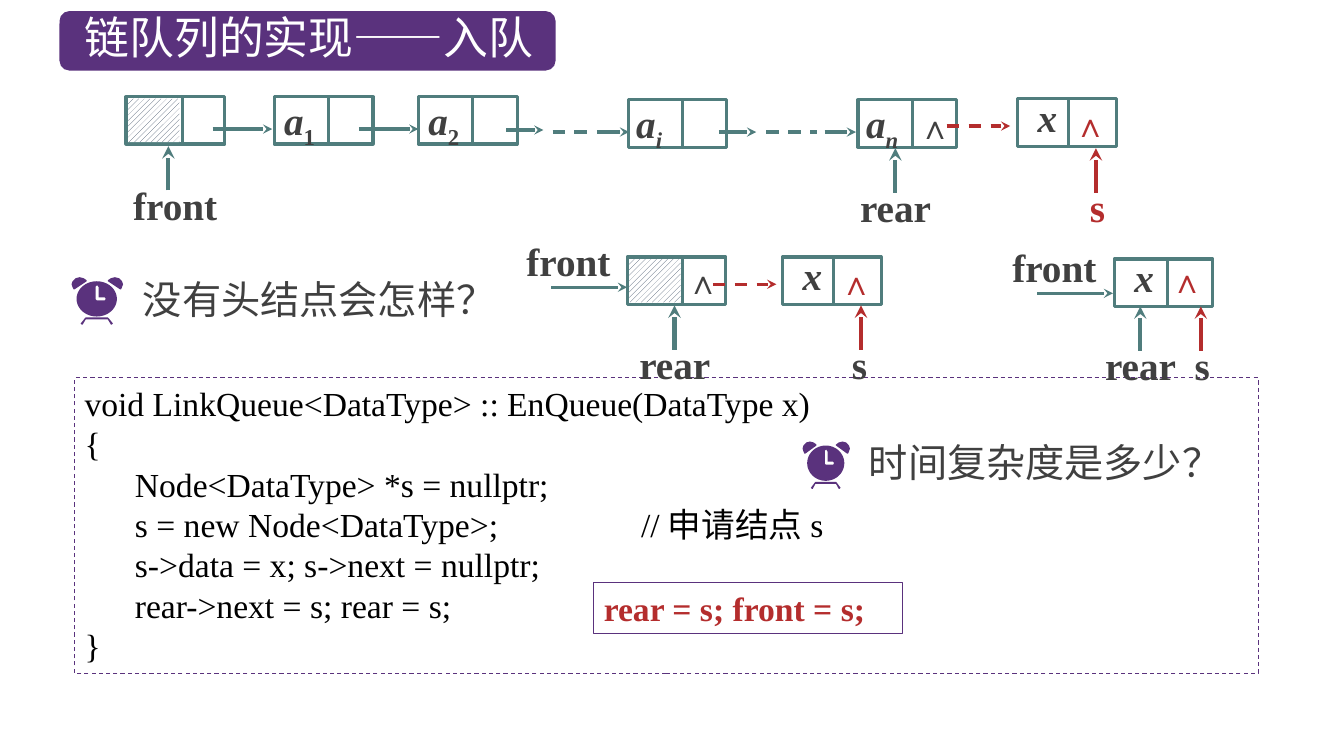
import math
from dataclasses import dataclass

from lxml import etree
from pptx import Presentation
from pptx import util as u
from pptx.dml import color
from pptx.enum import dml, shapes, text
from pptx.oxml import ns

SERIF, CJK = "Times New Roman", "Noto Sans CJK SC"
TEAL, RED, PURPLE, DARK = "507D7D", "B42D2D", "5A327D", "404040"
WHITE, BLACK, SLATE = "FFFFFF", "000000", "44546A"
NODE_W, NODE_H = 0.98, 0.47


@dataclass
class Node:
    left: float
    top: float
    split: float = 0.54
    name: str = ""
    sub: str = ""
    inset: float = 0.1
    sub_italic: bool = True
    hatched: bool = False


@dataclass
class Arrow:
    x1: float
    y1: float
    x2: float
    y2: float
    ink: str = TEAL
    width: float = 2.25
    dashed: bool = False
    head: bool = True


@dataclass
class Pointer:
    word: str
    x: float
    base: float
    left: float
    ink: str = TEAL
    word_ink: str = DARK


@dataclass
class Caret:
    left: float
    top: float
    ink: str = RED


@dataclass
class Clock:
    left: float
    top: float
    scale: float


NODES = [
    Node(1.25, 0.96, 0.56, hatched=True),
    Node(2.72, 0.96, name="a", sub="1", sub_italic=False),
    Node(4.15, 0.96, name="a", sub="2", sub_italic=False),
    Node(6.23, 0.99, name="a", sub="i", inset=0.08),
    Node(8.51, 0.99, name="a", sub="n", inset=0.08),
    Node(10.09, 0.98, 0.51, "x", inset=0.2),
    Node(6.22, 2.55, 0.55, hatched=True),
    Node(7.76, 2.55, 0.51, "x", inset=0.2),
    Node(11.05, 2.57, 0.53, "x", inset=0.2),
]
ARROWS = [
    Arrow(2.11, 1.28, 2.7, 1.28),
    Arrow(3.56, 1.28, 4.15, 1.28),
    Arrow(5.02, 1.29, 5.39, 1.29),
    Arrow(5.48, 1.31, 5.84, 1.31, dashed=True, head=False),
    Arrow(5.92, 1.31, 6.24, 1.31),
    Arrow(7.13, 1.31, 7.5, 1.31),
    Arrow(7.6, 1.31, 8.1, 1.31, dashed=True, head=False),
    Arrow(8.18, 1.31, 8.49, 1.31),
    Arrow(9.39, 1.25, 10.02, 1.25, RED, dashed=True),
    Arrow(7.07, 2.82, 7.7, 2.82, RED, dashed=True),
]
POINTERS = [
    Pointer("front", 1.67, 1.89, 1.32),
    Pointer("rear", 8.88, 1.91, 8.53),
    Pointer("s", 10.87, 1.91, 10.81, RED, RED),
    Pointer("rear", 6.69, 3.47, 6.34),
    Pointer("s", 8.54, 3.47, 8.45, RED),
    Pointer("rear", 11.31, 3.48, 10.96),
    Pointer("s", 11.91, 3.48, 11.85, RED),
]
CARETS = [Caret(10.55, 0.98), Caret(9.01, 1, DARK), Caret(6.71, 2.54, DARK),
          Caret(8.23, 2.55), Caret(11.51, 2.53)]
CLOCKS = [Clock(0.71, 2.75, 1), Clock(7.96, 4.38, 0.92)]
FRONT_ARROWS = [(5.47, 2.85), (10.29, 2.91)]
CODE = [
    "void LinkQueue<DataType> :: EnQueue(DataType x)",
    "{",
    "      Node<DataType> *s = nullptr;",
    "      s = new Node<DataType>;\t//申请结点s",
    "      s->data = x; s->next = nullptr;",
    "      rear->next = s; rear = s;",
    "}",
]
EAR = [(.08, 0), (.04, .01), (.01, .04), (0, .07), (.01, .1), (.02, .12),
       (.03, .12), (.15, .04), (.15, .03), (.12, .01)]
FEET = [(.09, .46), (.13, .41), (.14, .4), (.36, .4), (.37, .41), (.41, .46),
        (.4, .47), (.39, .47), (.36, .42), (.14, .42), (.11, .47), (.1, .47)]
HANDS = [(.24, .09), (.255, .08), (.27, .1), (.27, .2), (.33, .2),
         (.34, .215), (.33, .23), (.25, .23), (.24, .22)]
FACE = [(.25 + .2 * math.cos(math.tau * i / 48), .215 + .175 * math.sin(math.tau * i / 48))
        for i in range(48)]

deck = Presentation()
deck.slide_width, deck.slide_height = u.Inches(13.33), u.Inches(7.5)
page = deck.slides.add_slide(deck.slide_layouts[6])


def rgb(value: str) -> color.RGBColor:
    return color.RGBColor.from_string(value)


def add_span(para, words: str, size: float, ink: str, font=SERIF, bold=False, italic=False):
    span = para.add_run()
    span.text = words
    span.font.size, span.font.name = u.Pt(size), font
    span.font.bold, span.font.italic = bold, italic
    span.font.color.rgb = rgb(ink)
    etree.SubElement(span.font._element, ns.qn("a:ea"), typeface=CJK)
    return span


def set_frame(shape, insets=(0.1, 0.05, 0.1, 0.05)):
    frame = shape.text_frame
    frame.word_wrap = True
    frame.vertical_anchor = text.MSO_ANCHOR.TOP
    (frame.margin_left, frame.margin_top,
     frame.margin_right, frame.margin_bottom) = map(u.Inches, insets)
    para = frame.paragraphs[0]
    para.alignment = text.PP_ALIGN.LEFT
    return para


def add_label(words: str, left: float, top: float, width: float, height: float,
              size: float, ink: str, font=SERIF, bold=True, insets=(0.1, 0.05, 0.1, 0.05)):
    box = page.shapes.add_textbox(*map(u.Inches, (left, top, width, height)))
    para = set_frame(box, insets)
    add_span(para, words, size, ink, font, bold)
    return para


def add_box(left: float, top: float, width: float, height: float, line="", weight=1.0,
            fill="", kind=shapes.MSO_SHAPE.RECTANGLE):
    box = page.shapes.add_shape(kind, *map(u.Inches, (left, top, width, height)))
    box.shadow.inherit = False
    if fill:
        box.fill.solid()
        box.fill.fore_color.rgb = rgb(fill)
    else:
        box.fill.background()
    if line:
        box.line.color.rgb, box.line.width = rgb(line), u.Pt(weight)
    else:
        box.line.fill.background()
    return box


def draw_arrow(arrow: Arrow) -> None:
    line = page.shapes.add_connector(
        shapes.MSO_CONNECTOR.STRAIGHT,
        *map(u.Inches, (arrow.x1, arrow.y1, arrow.x2, arrow.y2)))
    line.line.color.rgb, line.line.width = rgb(arrow.ink), u.Pt(arrow.width)
    if arrow.dashed:
        line.line.dash_style = dml.MSO_LINE.DASH
    if arrow.head:
        etree.SubElement(line.line._get_or_add_ln(), ns.qn("a:tailEnd"), type="stealth")
    etree.SubElement(line._element.spPr, ns.qn("a:effectLst"))


def draw_node(node: Node) -> None:
    box = add_box(node.left, node.top, NODE_W, NODE_H, TEAL, 2.25)
    if node.name:
        para = set_frame(box, (node.inset, 0, 0, 0.08))
        para.line_spacing = 0.9
        add_span(para, node.name, 28, DARK, bold=True, italic=True)
        if node.sub:
            sub = add_span(para, node.sub, 28, DARK, bold=True, italic=node.sub_italic)
            sub.font._element.set("baseline", "-25000")
    if node.hatched:
        hatch = add_box(node.left + 0.02, node.top + 0.02, 0.51, 0.43)
        hatch.fill.patterned()
        hatch.fill.pattern = dml.MSO_PATTERN.WIDE_UPWARD_DIAGONAL
        hatch.fill.fore_color.rgb, hatch.fill.back_color.rgb = rgb(SLATE), rgb(WHITE)
    split = node.left + node.split
    draw_arrow(Arrow(split, node.top, split, node.top + NODE_H, head=False))


def draw_pointer(pointer: Pointer) -> None:
    draw_arrow(Arrow(pointer.x, pointer.base, pointer.x, pointer.base - 0.44, pointer.ink, 3))
    para = add_label(pointer.word, pointer.left, pointer.base, 0.24 if pointer.word == "s" else 0.85,
                     0.35, 28, pointer.word_ink, insets=(0, 0, 0, 0))
    para.alignment, para.line_spacing = text.PP_ALIGN.JUSTIFY, 0.8


def draw_clock(clock: Clock) -> None:
    mirrored_ear = [(.51 - x, y) for x, y in EAR]
    for contours in ([FEET], [EAR], [mirrored_ear], [FACE, HANDS]):
        placed = [[(u.Inches(clock.left + x * clock.scale), u.Inches(clock.top + y))
                   for x, y in contour] for contour in contours]
        outline = page.shapes.build_freeform(*placed[0][0])
        outline.add_line_segments(placed[0][1:])
        for hole in placed[1:]:
            outline.move_to(*hole[0])
            outline.add_line_segments(hole[1:])
        part = outline.convert_to_shape()
        part.shadow.inherit = False
        part.fill.solid()
        part.fill.fore_color.rgb = rgb(PURPLE)
        part.line.fill.background()


def draw_code() -> None:
    box = add_box(0.74, 3.75, 11.74, 2.93, PURPLE, 0.75)
    box.line.dash_style = dml.MSO_LINE.DASH
    para = set_frame(box)
    for number, words in enumerate(CODE):
        if number:
            para = box.text_frame.add_paragraph()
            para.alignment = text.PP_ALIGN.LEFT
        if "\t" in words:
            tabs = etree.SubElement(para._p.get_or_add_pPr(), ns.qn("a:tabLst"))
            etree.SubElement(tabs, ns.qn("a:tab"), pos=str(u.Inches(5.52)), algn="l")
        add_span(para, words, 24, BLACK)


def main() -> None:
    add_box(0.59, 0.11, 4.92, 0.59, fill=PURPLE, kind=shapes.MSO_SHAPE.ROUNDED_RECTANGLE)
    title = add_label("链队列的实现——入队", 0.73, 0.05, 4.67, 0.64, 32, WHITE, CJK, False)
    title.alignment = text.PP_ALIGN.CENTER
    draw_code()
    for node in NODES:
        draw_node(node)
    for arrow in ARROWS:
        draw_arrow(arrow)
    for pointer in POINTERS:
        draw_pointer(pointer)
    for x, y in FRONT_ARROWS:
        draw_arrow(Arrow(x, y, x + 0.75, y))
        add_label("front", x - 0.25, y - 0.5, 0.95, 0.51, 28, DARK, insets=(0, 0, 0, 0.04))
    for caret in CARETS:
        add_label("∧", caret.left, caret.top, 0.57, 0.49, 24, caret.ink)
    for clock in CLOCKS:
        draw_clock(clock)
    add_label("没有头结点会怎样？", 1.32, 2.68, 3.96, 0.57, 28, DARK, CJK, False)
    add_label("时间复杂度是多少？", 8.52, 4.3, 4, 0.57, 28, DARK, CJK, False)
    answer = set_frame(add_box(5.89, 5.78, 3.06, 0.5, PURPLE, 0.5))
    add_span(answer, "rear = s; front = s;", 24, RED, bold=True)
    deck.save("out.pptx")


if __name__ == "__main__":
    main()
